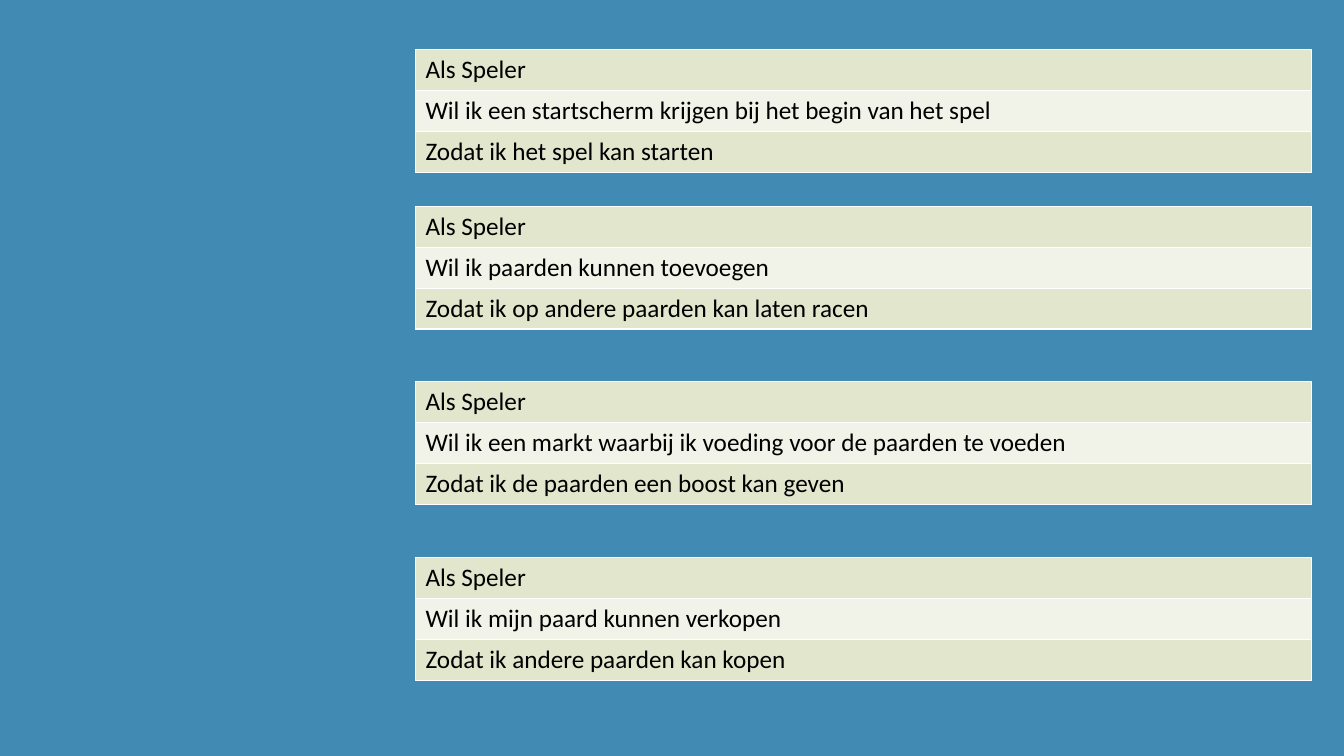
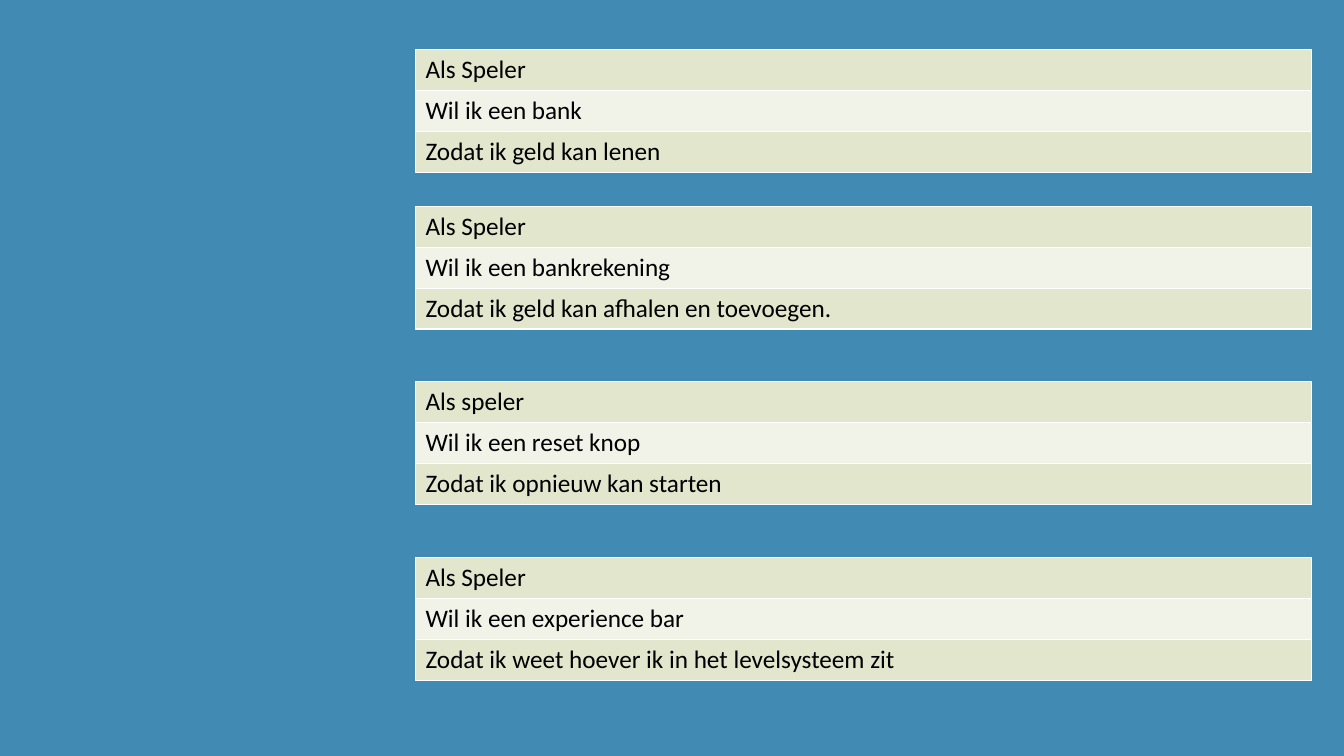
from dataclasses import dataclass

from lxml import etree
from pptx import Presentation
from pptx.dml.color import RGBColor
from pptx.enum.text import MSO_ANCHOR
from pptx.oxml.ns import qn
from pptx.util import Cm, Pt

TOP = MSO_ANCHOR.TOP
BLANK_LAYOUT = 6


@dataclass(frozen=True)
class Theme:
    background: str = "418AB3"
    bands: tuple = ("E1E6CD", "F1F3E8")
    border: str = "FFFFFF"
    ink: str = "000000"
    font: str = "Calibri"
    body_size: int = 18
    border_width: int = 1


# Layout in centimetres
SLIDE_SIZE = (33.87, 19.05)
STORY_LEFT, STORY_WIDTH, ROW_HEIGHT = 10.47, 22.58, 1.03
STORY_TOPS = (1.25, 5.2, 9.62, 14.05)

# User stories: role, wish and reason
STORY_SLIDES = [
    [
        ("Als Speler",
         "Wil ik een startscherm krijgen bij het begin van het spel",
         "Zodat ik het spel kan starten"),
        ("Als Speler",
         "Wil ik paarden kunnen toevoegen",
         "Zodat ik op andere paarden kan laten racen"),
        ("Als Speler",
         "Wil ik een markt waarbij ik voeding voor de paarden te voeden",
         "Zodat ik de paarden een boost kan geven"),
        ("Als Speler",
         "Wil ik mijn paard kunnen verkopen",
         "Zodat ik andere paarden kan kopen"),
    ],
    [
        ("Als Speler",
         "Wil ik een bank",
         "Zodat ik geld kan lenen"),
        ("Als Speler",
         "Wil ik een bankrekening",
         "Zodat ik geld kan afhalen en toevoegen."),
        ("Als speler",
         "Wil ik een reset knop",
         "Zodat ik opnieuw kan starten"),
        ("Als Speler",
         "Wil ik een experience bar",
         "Zodat ik weet hoever ik in het levelsysteem zit"),
    ],
]


def write_text(frame, text, *, font, size, color):
    run = frame.paragraphs[0].add_run()
    run.text = text
    run.font.name = font
    run.font.size = Pt(size)
    run.font.color.rgb = RGBColor.from_string(color)


def outline_cell(cell, color, width):
    properties = cell._tc.get_or_add_tcPr()
    # Borders come before the fill in the cell properties
    for position, side in enumerate(("lnL", "lnR", "lnT", "lnB")):
        line = etree.Element(qn(f"a:{side}"), w=str(Pt(width)))
        fill = etree.SubElement(line, qn("a:solidFill"))
        etree.SubElement(fill, qn("a:srgbClr"), val=color)
        properties.insert(position, line)


class StoryDeck:
    def __init__(self, theme):
        self.theme = theme
        self.presentation = Presentation()
        width, height = SLIDE_SIZE
        self.presentation.slide_width = Cm(width)
        self.presentation.slide_height = Cm(height)
        # Shared background
        background = self.presentation.slide_master.background.fill
        background.solid()
        background.fore_color.rgb = RGBColor.from_string(theme.background)
        self.slide = None

    def add_slide(self):
        layout = self.presentation.slide_layouts[BLANK_LAYOUT]
        self.slide = self.presentation.slides.add_slide(layout)

    def add_story(self, story, top):
        theme = self.theme
        table = self.slide.shapes.add_table(
            len(story), 1, Cm(STORY_LEFT), Cm(top),
            Cm(STORY_WIDTH), Cm(ROW_HEIGHT * len(story))).table
        table.first_row = False
        table.horz_banding = False
        for index, sentence in enumerate(story):
            cell = table.cell(index, 0)
            cell.vertical_anchor = TOP
            cell.fill.solid()
            band = theme.bands[index % len(theme.bands)]
            cell.fill.fore_color.rgb = RGBColor.from_string(band)
            outline_cell(cell, theme.border, theme.border_width)
            write_text(cell.text_frame, sentence, font=theme.font,
                       size=theme.body_size, color=theme.ink)


# Build one slide per group of stories
deck = StoryDeck(Theme())
for stories in STORY_SLIDES:
    deck.add_slide()
    for story, top in zip(stories, STORY_TOPS):
        deck.add_story(story, top)

deck.presentation.save("out.pptx")
